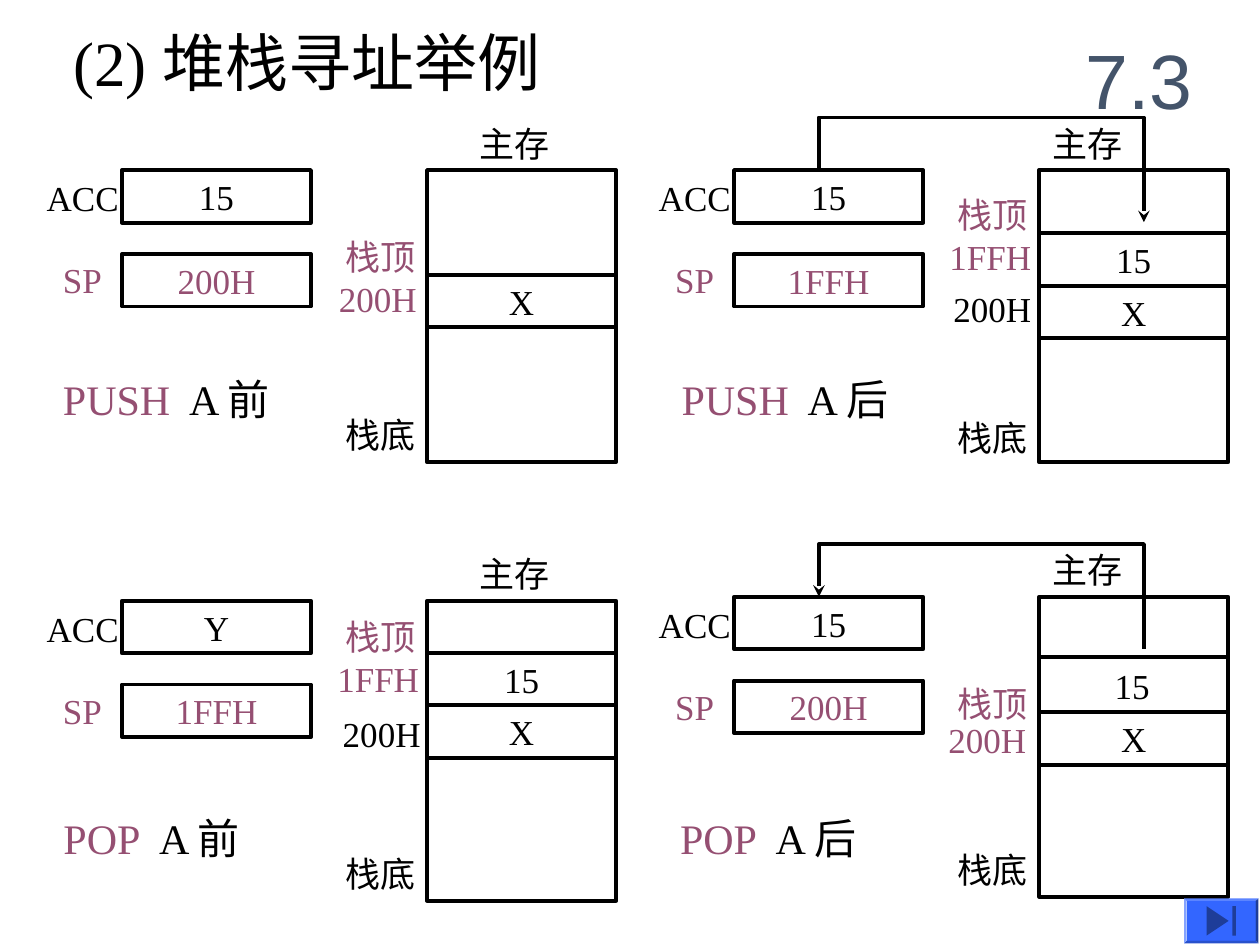
from dataclasses import dataclass

from lxml import etree
from pptx import Presentation
from pptx.dml.color import RGBColor
from pptx.enum.shapes import MSO_CONNECTOR, MSO_SHAPE
from pptx.enum.text import MSO_ANCHOR, MSO_AUTO_SIZE, PP_ALIGN
from pptx.oxml.ns import qn
from pptx.util import Cm, Pt

RECTANGLE, BEVEL = MSO_SHAPE.RECTANGLE, MSO_SHAPE.BEVEL
END_BUTTON = MSO_SHAPE.ACTION_BUTTON_END
STRAIGHT = MSO_CONNECTOR.STRAIGHT
MIDDLE, TOP = MSO_ANCHOR.MIDDLE, MSO_ANCHOR.TOP
LEFT, CENTER = PP_ALIGN.LEFT, PP_ALIGN.CENTER
FIT_SHAPE, NO_FIT = MSO_AUTO_SIZE.SHAPE_TO_FIT_TEXT, MSO_AUTO_SIZE.NONE

BLACK, ACCENT, SLATE, BLUE = "000000", "954F72", "44546A", "3366FF"
SERIF, SANS = "Times New Roman", "Arial"
CELL_WIDTH, CELL_HEIGHT = 3.81, 1.06
REGISTER_LEFT, MEMORY_LEFT = 2.46, 8.61
LABEL_HEIGHT = 1.12
LABEL_WIDTHS = {"ACC": 1.96, "SP": 1.3, "200H": 2.08, "1FFH": 2.16, "15": 2.34}
CHINESE_WIDTH = 1.95
RIGHT_COLUMN = 12.34


@dataclass
class Label:
    text: str
    left: float
    top: float
    color: str = BLACK


@dataclass
class Cell:
    text: str
    top: float


@dataclass
class Panel:
    left: float
    top: float
    acc: str
    sp: str
    memory_height: float
    memory_label_left: float
    bottom_label_top: float
    cells: list[Cell]
    labels: list[Label]
    arrow_end: str = ""
    divider_top: float = 0


@dataclass
class Caption:
    operation: str
    rest: str
    left: float
    top: float
    width: float


PANELS = [
    Panel(0, 3.43, "15", "200H", 5.89, 9.42, 4.78,
          [Cell("X", 2.11)],
          [Label("栈顶", 6.71, 1.19, ACCENT), Label("200H", 6.58, 2.03, ACCENT)]),
    Panel(RIGHT_COLUMN, 3.43, "15", "1FFH", 5.89, 8.63, 4.83,
          [Cell("15", 1.27), Cell("X", 2.33)],
          [Label("栈顶", 6.71, 0.35, ACCENT), Label("200H", 6.63, 2.24),
           Label("1FFH", 6.55, 1.19, ACCENT)],
          arrow_end="a:tailEnd"),
    Panel(0, 12.11, "Y", "1FFH", 6.05, 9.42, 4.95,
          [Cell("15", 1.05), Cell("X", 2.11)],
          [Label("栈顶", 6.71, 0.17, ACCENT), Label("200H", 6.66, 2.13),
           Label("1FFH", 6.55, 1.02, ACCENT)]),
    Panel(RIGHT_COLUMN, 12.03, "15", "200H", 6.05, 8.63, 4.95,
          [Cell("X", 2.33)],
          [Label("栈顶", 6.71, 1.59, ACCENT), Label("200H", 6.53, 2.32, ACCENT),
           Label("15", 9.88, 1.24)],
          arrow_end="a:headEnd", divider_top=1.22),
]

CAPTIONS = [
    Caption("PUSH", "  A 前", 1.02, 7.41, 4.95),
    Caption("PUSH", "  A 后", 13.49, 7.41, 4.95),
    Caption("POP", "  A 前", 1.03, 16.25, 4.34),
    Caption("POP", "  A 后", 13.46, 16.25, 4.34),
]


def rgb(color: str) -> RGBColor:
    return RGBColor.from_string(color)


def write(box, text: str, size: float, color: str, font: str = SERIF,
          align=LEFT, anchor=TOP, wrap: bool = False, fit=NO_FIT) -> None:
    frame = box.text_frame
    frame.word_wrap = wrap
    frame.auto_size = fit
    frame.vertical_anchor = anchor
    frame.margin_left = frame.margin_right = Cm(0.25)
    frame.margin_top = frame.margin_bottom = Cm(0.13)
    paragraph = frame.paragraphs[0]
    paragraph.text = text
    paragraph.alignment = align
    paragraph.line_spacing = 1.0
    paragraph.font.name = font
    paragraph.font.size = Pt(size)
    paragraph.font.color.rgb = rgb(color)


def outline(shape) -> None:
    shape.line.color.rgb = rgb(BLACK)
    shape.line.width = Pt(2.25)


def add_cell(shapes, left: float, top: float, text: str = "",
             color: str = BLACK, height: float = CELL_HEIGHT) -> None:
    cell = shapes.add_shape(RECTANGLE, Cm(left), Cm(top), Cm(CELL_WIDTH), Cm(height))
    cell.shadow.inherit = False
    cell.fill.background()
    outline(cell)
    if text:
        write(cell, text, 20, color, align=CENTER, anchor=MIDDLE)


def add_label(shapes, label: Label, left: float, top: float) -> None:
    width = LABEL_WIDTHS.get(label.text, CHINESE_WIDTH)
    box = shapes.add_textbox(Cm(left + label.left), Cm(top + label.top),
                             Cm(width), Cm(LABEL_HEIGHT))
    write(box, label.text, 20, label.color, fit=FIT_SHAPE)


def add_transfer_arrow(shapes, panel: Panel) -> None:
    acc_x, memory_x = Cm(panel.left + 4.17), Cm(panel.left + 10.72)
    bend_y = Cm(panel.top - 1.06)
    builder = shapes.build_freeform(acc_x, Cm(panel.top))
    builder.add_line_segments(
        [(acc_x, bend_y), (memory_x, bend_y), (memory_x, Cm(panel.top + 1.05))],
        close=False)
    arrow = builder.convert_to_shape()
    arrow.shadow.inherit = False
    arrow.fill.background()
    outline(arrow)
    line = arrow._element.spPr.find(qn("a:ln"))
    etree.SubElement(line, qn(panel.arrow_end), type="stealth")


def add_divider(shapes, left: float, top: float) -> None:
    divider = shapes.add_connector(STRAIGHT, Cm(left), Cm(top),
                                   Cm(left + CELL_WIDTH), Cm(top))
    outline(divider)
    etree.SubElement(divider._element.spPr, qn("a:effectLst"))


def add_panel(page, panel: Panel) -> None:
    shapes = page.shapes.add_group_shape().shapes
    left, top = panel.left, panel.top
    add_cell(shapes, left + REGISTER_LEFT, top, panel.acc)
    add_cell(shapes, left + REGISTER_LEFT, top + 1.69, panel.sp, ACCENT)
    add_cell(shapes, left + MEMORY_LEFT, top, height=panel.memory_height)
    for cell in panel.cells:
        add_cell(shapes, left + MEMORY_LEFT, top + cell.top, cell.text)
    common = [Label("ACC", 0.69, 0), Label("SP", 1.02, 1.65, ACCENT),
              Label("主存", panel.memory_label_left, -1.1),
              Label("栈底", 6.71, panel.bottom_label_top)]
    for label in common + panel.labels:
        add_label(shapes, label, left, top)
    if panel.arrow_end:
        add_transfer_arrow(shapes, panel)
    if panel.divider_top:
        add_divider(shapes, left + MEMORY_LEFT, top + panel.divider_top)


def add_caption(page, caption: Caption) -> None:
    box = page.shapes.add_textbox(Cm(caption.left), Cm(caption.top),
                                  Cm(caption.width), Cm(1.27))
    write(box, caption.operation, 24, ACCENT, fit=FIT_SHAPE)
    span = box.text_frame.paragraphs[0].add_run()
    span.text = caption.rest
    span.font.color.rgb = rgb(BLACK)


def add_button_part(page, kind, inset: float):
    part = page.shapes.add_shape(kind, Cm(23.87 + inset), Cm(18.11 + inset),
                                 Cm(1.5 - 2 * inset), Cm(0.91 - 2 * inset))
    part.shadow.inherit = False
    part.fill.solid()
    part.fill.fore_color.rgb = rgb(BLUE)
    part.line.fill.background()
    return part


def main() -> None:
    deck = Presentation()
    deck.slide_width, deck.slide_height = Cm(25.4), Cm(19.05)
    page = deck.slides.add_slide(deck.slide_layouts[5])
    title = page.shapes.title
    title.left, title.top, title.width, title.height = Cm(1.23), Cm(0.35), Cm(11.48), Cm(1.78)
    write(title, "(2) 堆栈寻址举例", 36, BLACK, wrap=True)
    for panel in PANELS:
        add_panel(page, panel)
    for caption in CAPTIONS:
        add_caption(page, caption)
    section = page.shapes.add_textbox(Cm(21.38), Cm(0.42), Cm(3.18), Cm(2.34))
    write(section, "7.3", 44, SLATE, SANS, CENTER, MIDDLE, wrap=True)
    frame = add_button_part(page, BEVEL, 0)
    frame.adjustments[0] = 0.06
    add_button_part(page, END_BUTTON, 0.06)
    deck.save("out.pptx")


if __name__ == "__main__":
    main()
